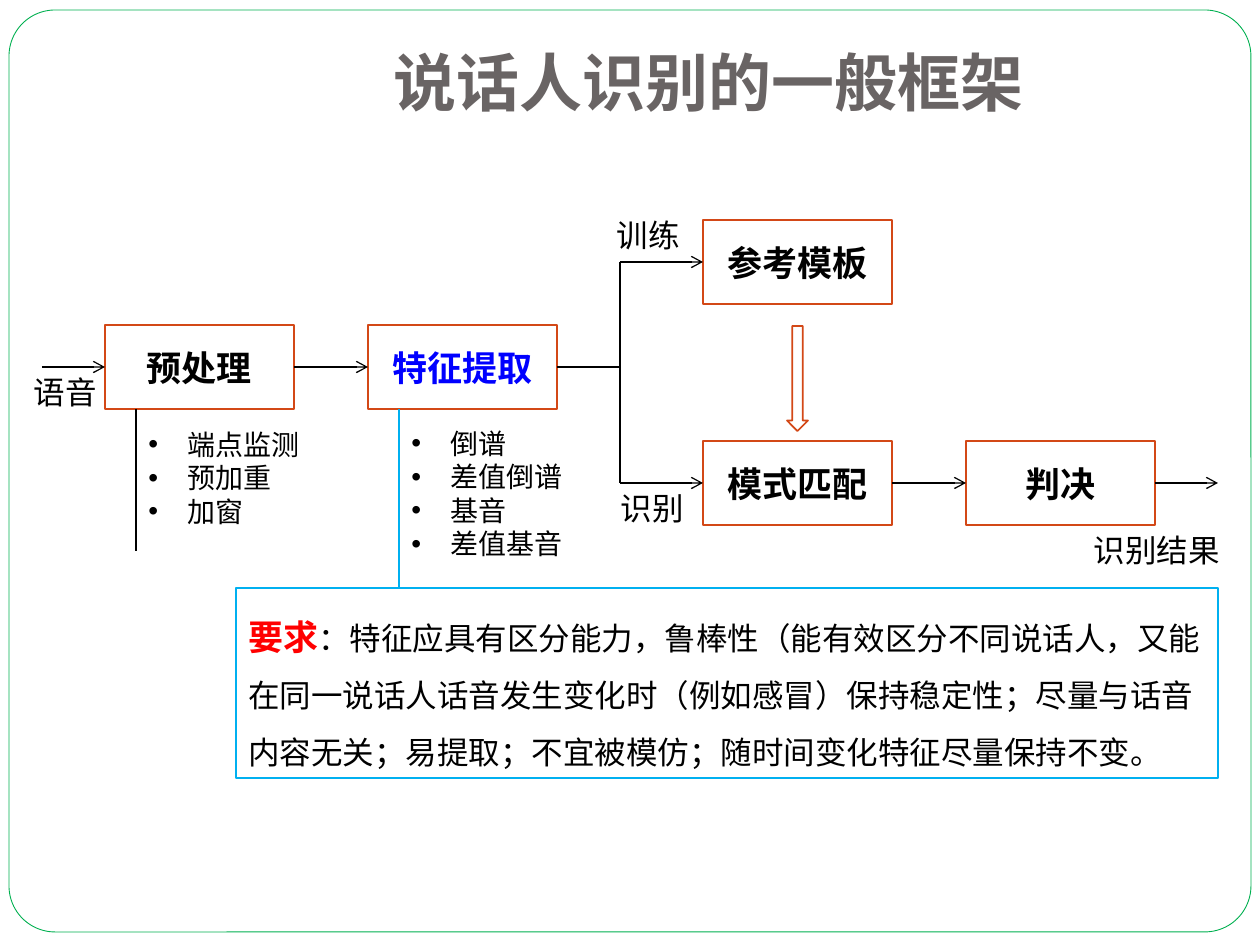
from lxml.etree import SubElement
from pptx import Presentation
from pptx.dml.color import RGBColor
from pptx.enum.shapes import MSO_CONNECTOR, MSO_SHAPE
from pptx.enum.text import MSO_ANCHOR, MSO_AUTO_SIZE, PP_ALIGN
from pptx.oxml.ns import qn
from pptx.util import Pt

PX = 914400 / 126
FONT = "Open Sans"
COLORS = {
    "title": "696464", "text": "000000", "white": "FFFFFF", "frame": "00B050",
    "box": "D34817", "note": "00B0F0", "feature": "0000FF", "key": "FF0000",
}
TOP, LEFT, BOTTOM, RIGHT = range(4)


def px(*lengths):
    return [round(length * PX) for length in lengths]


def add_run(paragraph, text, size, color="text", bold=False):
    run = paragraph.add_run()
    run.text = text
    run.font.size = Pt(size)
    run.font.bold = bold
    run.font.name = FONT
    run.font.color.rgb = RGBColor.from_string(COLORS[color])
    SubElement(run.font._element, qn("a:ea"), typeface=FONT)


presentation = Presentation()
presentation.slide_width, presentation.slide_height = px(1260, 945)
slide = presentation.slides.add_slide(presentation.slide_layouts[5])

# Title
title = slide.shapes.title
title.left, title.top, title.width, title.height = px(157, 21, 1103, 111)
frame = title.text_frame
frame.word_wrap = True
frame.auto_size = MSO_AUTO_SIZE.NONE
frame.vertical_anchor = MSO_ANCHOR.BOTTOM
frame.margin_bottom = px(13)[0]
frame.paragraphs[0].alignment = PP_ALIGN.CENTER
add_run(frame.paragraphs[0], "说话人识别的一般框架", 36, "title", True)

# Border, process boxes, block arrow and requirement box
outlines = {}
for name, preset, bounds, fill, line, width in [
    ("border", MSO_SHAPE.ROUNDED_RECTANGLE, (9, 10, 1242, 922), None, "frame", 0.5),
    ("预处理", MSO_SHAPE.RECTANGLE, (105, 325, 189, 84), "white", "box", 1),
    ("特征提取", MSO_SHAPE.RECTANGLE, (368, 325, 189, 84), "white", "box", 1),
    ("参考模板", MSO_SHAPE.RECTANGLE, (703, 220, 189, 84), "white", "box", 1),
    ("模式匹配", MSO_SHAPE.RECTANGLE, (703, 441, 189, 84), "white", "box", 1),
    ("判决", MSO_SHAPE.RECTANGLE, (966, 441, 189, 84), "white", "box", 1),
    ("template arrow", MSO_SHAPE.DOWN_ARROW, (787, 326, 21, 105), "white", "box", 1),
    ("requirement", MSO_SHAPE.RECTANGLE, (236, 588, 982, 190), None, "note", 0.75),
]:
    shape = slide.shapes.add_shape(preset, *px(*bounds))
    shape.shadow.inherit = False
    if fill:
        shape.fill.solid()
        shape.fill.fore_color.rgb = RGBColor.from_string(COLORS[fill])
    else:
        shape.fill.background()
    shape.line.color.rgb = RGBColor.from_string(COLORS[line])
    shape.line.width = Pt(width)
    outlines[name] = shape
outlines["border"].adjustments[0] = 0.05

for name in ["预处理", "特征提取", "参考模板", "模式匹配", "判决"]:
    frame = outlines[name].text_frame
    frame.word_wrap = False
    frame.vertical_anchor = MSO_ANCHOR.MIDDLE
    frame.paragraphs[0].alignment = PP_ALIGN.CENTER
    add_run(frame.paragraphs[0], name, 20,
            "feature" if name == "特征提取" else "text", True)

frame = outlines["requirement"].text_frame
frame.word_wrap = True
frame.vertical_anchor = MSO_ANCHOR.TOP
paragraph = frame.paragraphs[0]
paragraph.alignment = PP_ALIGN.LEFT
paragraph.line_spacing = 1.5
add_run(paragraph, "要求", 20, "key", True)
add_run(paragraph, "：特征应具有区分能力，鲁棒性（能有效区分不同说话人，又能在同一说话人话音"
        "发生变化时（例如感冒）保持稳定性；尽量与话音内容无关；易提取；不宜被模仿；"
        "随时间变化特征尽量保持不变。", 18)

# Flow lines: an end is a point or a (box, side) pair
for start, end, color, arrow in [
    ((42, 367), ("预处理", LEFT), "text", True),
    (("预处理", RIGHT), ("特征提取", LEFT), "text", True),
    (("特征提取", RIGHT), (620, 367), "text", False),
    ((620, 262), (620, 483), "text", False),
    ((620, 262), ("参考模板", LEFT), "text", True),
    ((620, 483), ("模式匹配", LEFT), "text", True),
    (("模式匹配", RIGHT), ("判决", LEFT), "text", True),
    (("判决", RIGHT), (1218, 483), "text", True),
    ((136, 409), (136, 551), "text", False),
    ((399, 409), (399, 588), "note", False),
]:
    start_box, end_box = outlines.get(start[0]), outlines.get(end[0])
    start_point = (0, 0) if start_box else start
    end_point = (0, 0) if end_box else end
    connector = slide.shapes.add_connector(
        MSO_CONNECTOR.STRAIGHT, *px(*start_point, *end_point))
    if start_box:
        connector.begin_connect(start_box, start[1])
    if end_box:
        connector.end_connect(end_box, end[1])
    connector.line.color.rgb = RGBColor.from_string(COLORS[color])
    connector.line.width = Pt(0.75)
    if arrow:
        SubElement(connector.line._get_or_add_ln(), qn("a:tailEnd"), type="arrow")
    SubElement(connector._element.spPr, qn("a:effectLst"))

# Labels and bulleted lists
for lines, bounds, size, bulleted in [
    (["语音"], (21, 367, 89, 50), 18, False),
    (["训练"], (604, 210, 89, 50), 18, False),
    (["识别"], (608, 483, 89, 50), 18, False),
    (["识别结果"], (1081, 525, 152, 50), 18, False),
    (["端点监测", "预加重", "加窗"], (136, 421, 179, 115), 16, True),
    (["倒谱", "差值倒谱", "基音", "差值基音"], (399, 420, 179, 183), 16, True),
]:
    frame = slide.shapes.add_textbox(*px(*bounds)).text_frame
    frame.word_wrap = bulleted
    frame.auto_size = MSO_AUTO_SIZE.SHAPE_TO_FIT_TEXT
    for index, line in enumerate(lines):
        paragraph = frame.add_paragraph() if index else frame.paragraphs[0]
        paragraph.alignment = PP_ALIGN.LEFT if bulleted else PP_ALIGN.CENTER
        if bulleted:
            properties = paragraph._p.get_or_add_pPr()
            indent = px(39)[0]
            properties.set("marL", str(indent))
            properties.set("indent", str(-indent))
            SubElement(properties, qn("a:buFont"), typeface="Arial")
            SubElement(properties, qn("a:buChar"), char="•")
        add_run(paragraph, line, size)

presentation.save("out.pptx")
